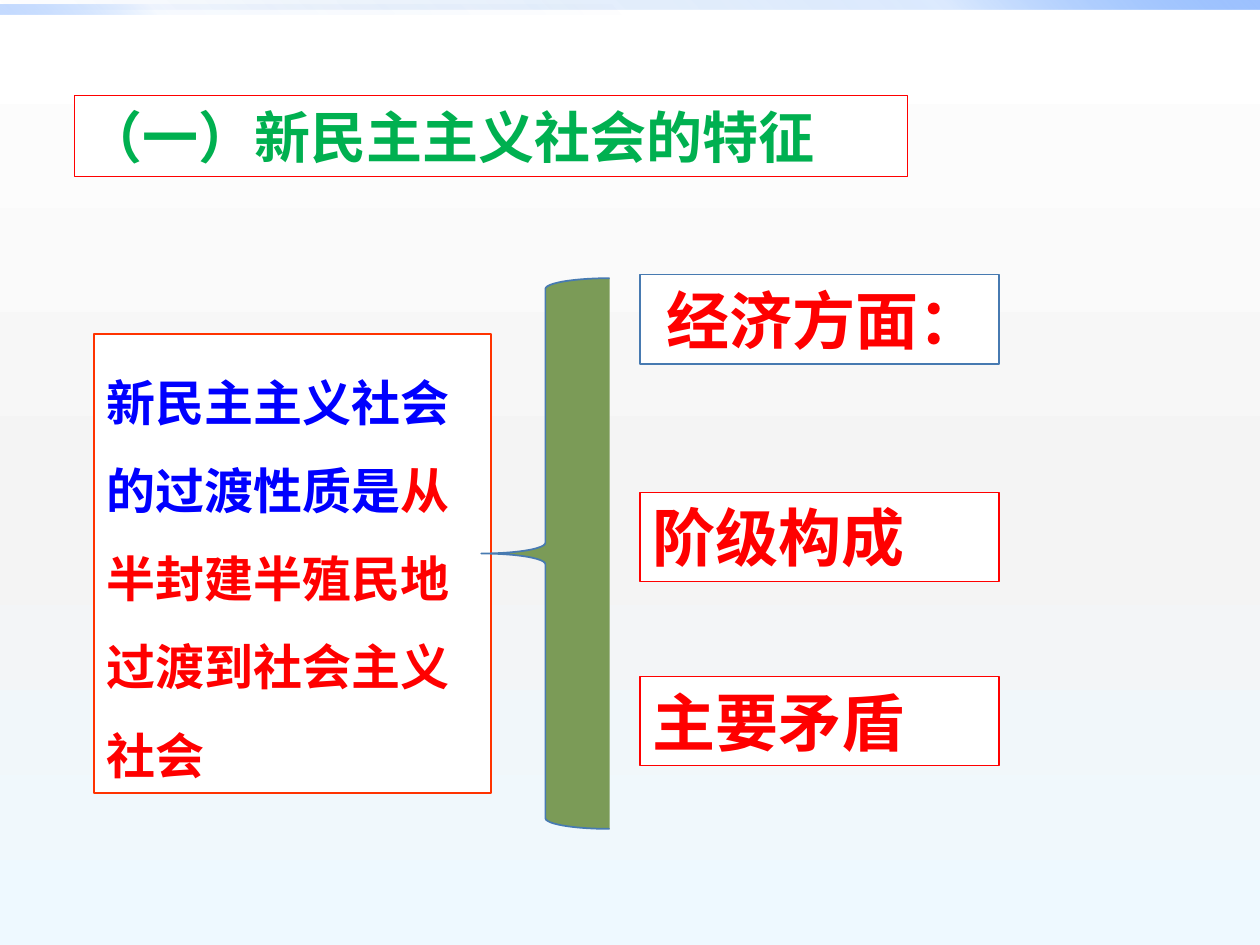
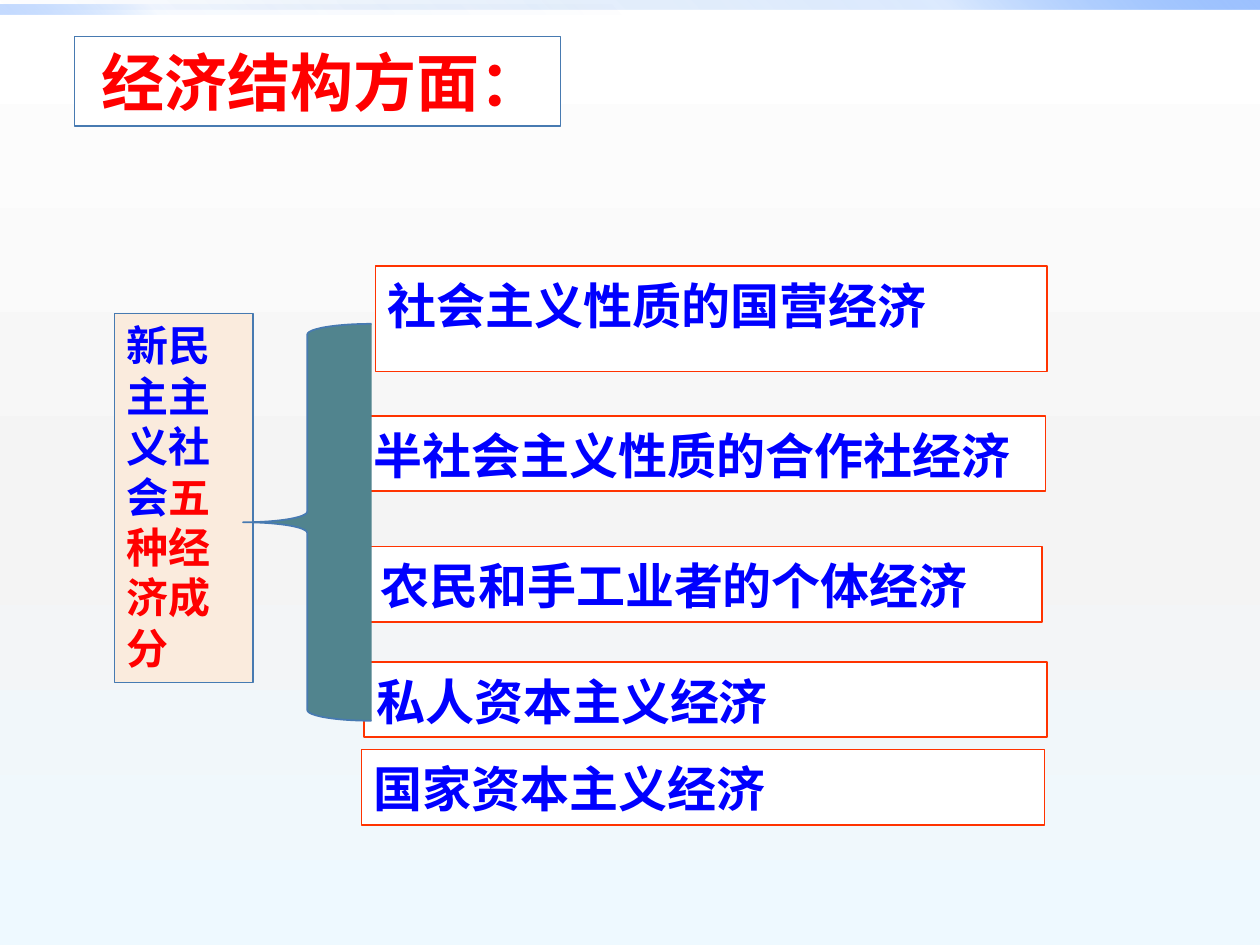
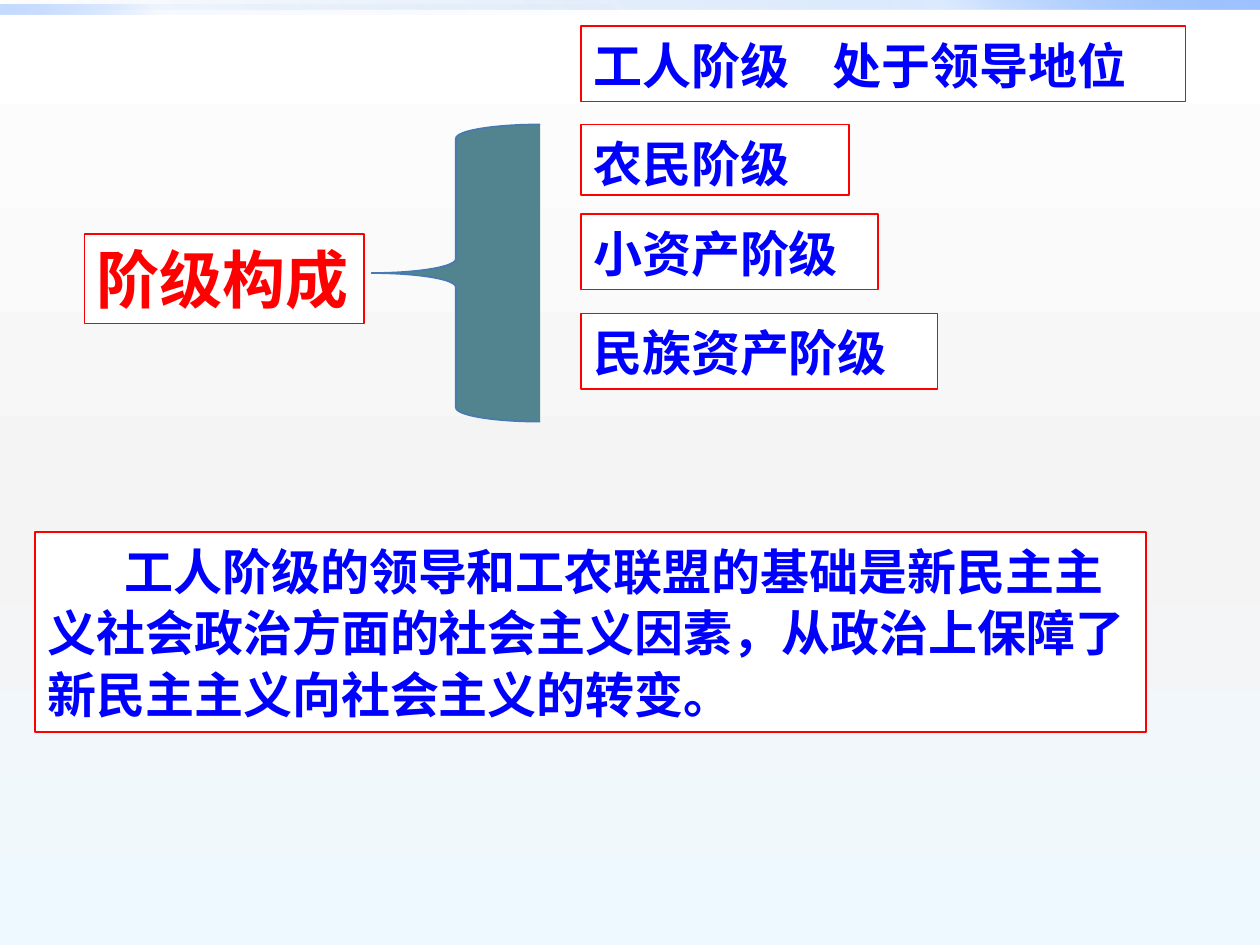
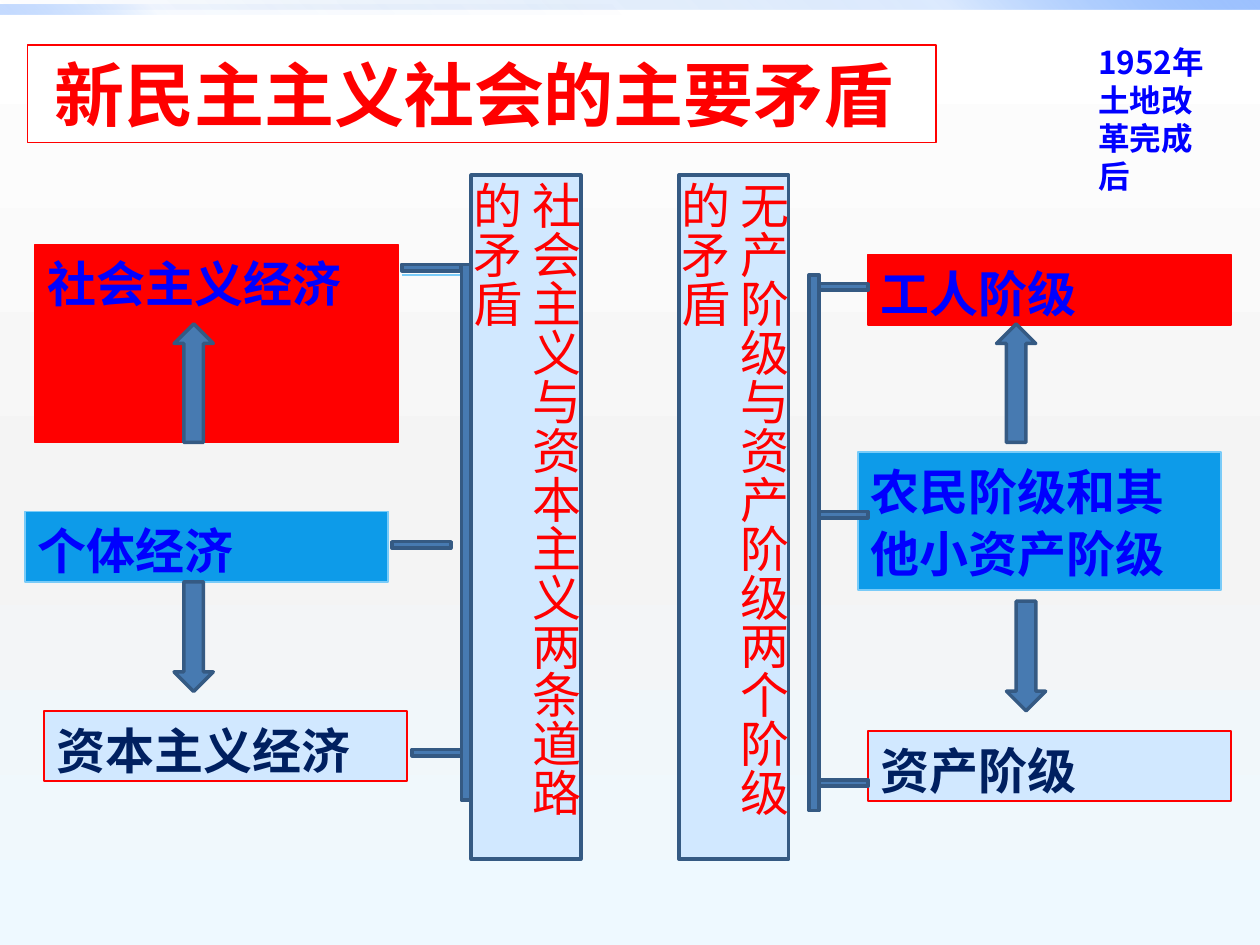
from lxml import etree
from pptx import Presentation
from pptx import util as u
from pptx.dml.color import RGBColor
from pptx.enum import shapes, text
from pptx.oxml import ns

RED, BLUE, NAVY, GREEN = "FF0000", "0000FF", "002060", "00B050"
ORANGE, STEEL, DARK_STEEL = "FF3300", "477AB1", "355A83"
WHITE, PALE, SKY, LIGHT_SKY = "FFFFFF", "D1E8FF", "0D9BE9", "79CBF8"
OLIVE, TEAL, CREAM = "7B9B57", "51848E", "FAEBDD"
SANS_JP, SANS_SC = "Noto Sans CJK JP", "Noto Sans CJK SC"
SERIF, CAMBRIA = "Times New Roman", "Cambria"
SHAPE = shapes.MSO_SHAPE
ITEM_HEIGHT, TEXT_INSET, HEADING_INSET = 1.52, 0.25, 0.54


def color(value):
    return RGBColor.from_string(value)


def place(shape, box):
    shape.left, shape.top, shape.width, shape.height = [u.Cm(length) for length in box]


def paint(shape, fill, line, width):
    shape.fill.solid()
    shape.fill.fore_color.rgb = color(fill)
    shape.line.color.rgb = color(line)
    shape.line.width = u.Pt(width)


def add_figure(slide, kind, box, fill=STEEL, line=DARK_STEEL, width=2):
    shape = slide.shapes.add_shape(kind, *[u.Cm(length) for length in box])
    shape.shadow.inherit = False
    paint(shape, fill, line, width)
    return shape


def write(shape, parts, size, font, bold=True, spacing=1.0, inset=TEXT_INSET,
          anchor=text.MSO_ANCHOR.TOP, align=text.PP_ALIGN.LEFT):
    frame = shape.text_frame
    frame.word_wrap = True
    frame.auto_size = text.MSO_AUTO_SIZE.NONE
    frame.vertical_anchor = anchor
    frame.margin_left, frame.margin_right = u.Cm(inset), u.Cm(TEXT_INSET)
    frame.margin_top = frame.margin_bottom = u.Cm(0.13)
    paragraph = frame.paragraphs[0]
    paragraph.alignment = align
    paragraph.line_spacing = spacing
    paragraph.space_before = u.Pt(0)
    for wording, ink in parts:
        run = paragraph.add_run()
        run.text = wording
        run.font.size = u.Pt(size)
        run.font.name = font
        run.font.bold = bold
        run.font.color.rgb = color(ink)
    return paragraph


def add_card(slide, box, parts, size=28, font=SERIF, fill=WHITE, line=RED, width=1,
             title=False, **style):
    if title:
        shape = slide.shapes.title
        place(shape, box)
        paint(shape, fill, line, width)
    else:
        shape = add_figure(slide, SHAPE.RECTANGLE, box, fill, line, width)
    return write(shape, parts, size, font, **style)


def add_item(slide, box, wording, ink=BLUE, **style):
    return add_card(slide, box, [(wording, ink)], spacing=1.05, **style)


def add_heading(slide, box, wording, ink=RED, size=36, line=RED, **style):
    return add_card(slide, box, [(wording, ink)], size, SANS_JP, line=line, width=0.75, **style)


def set_gradient(properties, stops, angle):
    gradient = etree.Element(ns.qn("a:gradFill"), rotWithShape="1")
    stop_list = etree.SubElement(gradient, ns.qn("a:gsLst"))
    for position, ink, opacity in stops:
        stop = etree.SubElement(stop_list, ns.qn("a:gs"), pos=str(position * 1000))
        tint = etree.SubElement(stop, ns.qn("a:srgbClr"), val=ink)
        if opacity < 100:
            etree.SubElement(tint, ns.qn("a:alpha"), val=str(opacity * 1000))
    etree.SubElement(gradient, ns.qn("a:lin"), ang=str(angle * 60000), scaled="0")
    properties.replace(properties.find(ns.qn("a:solidFill")), gradient)


def dress_master(presentation, slide):
    master = presentation.slide_master
    master.background.fill.solid()
    background = master.element.find(".//" + ns.qn("p:bgPr"))
    set_gradient(background, [(0, WHITE, 100), (55, "F4F4F4", 100), (100, "EEF9FF", 100)], 90)
    bands = [((0, 0, 25.4, 0.2), 20, 100, 315), ((0, 0.1, 12.7, 0.2), 5, 60, 135)]
    for index, (box, middle, end, angle) in enumerate(bands):
        band = add_figure(slide, SHAPE.RECTANGLE, box)
        band.line.fill.background()
        stops = [(0, "0058B7", 0), (75, "4F95FF", middle), (100, "9EC2FF", end)]
        set_gradient(band.element.spPr, stops, angle)
        master.element.cSld.spTree.insert(2 + index, band.element)


def add_brace(slide, box, fill):
    add_figure(slide, SHAPE.LEFT_BRACE, box, fill, STEEL, 1)


def build_features(slide):
    add_card(slide, (1.9, 6.73, 8, 9.25),
             [("新民主主义社会的过渡性质是", BLUE), ("从半封建半殖民地过渡到社会主义社会", RED)],
             line=ORANGE, title=True, spacing=1.5, anchor=text.MSO_ANCHOR.MIDDLE)
    add_heading(slide, (1.5, 1.93, 16.79, 1.63), "（一）新民主主义社会的特征", GREEN, 32)
    aspects = [(5.54, "经济方面：", STEEL, HEADING_INSET),
               (9.93, "阶级构成", RED, TEXT_INSET),
               (13.64, "主要矛盾", RED, TEXT_INSET)]
    for top, wording, line, inset in aspects:
        add_heading(slide, (12.9, top, 7.24, 1.8), wording, line=line, inset=inset)
    add_brace(slide, (9.7, 5.61, 2.59, 11.1), OLIVE)


def build_economy(slide):
    style = dict(font=SANS_SC, line=ORANGE)
    add_item(slide, (7.57, 5.36, 13.54, 2.13), "社会主义性质的国营经济", title=True, **style)
    add_heading(slide, (1.5, 0.74, 9.8, 1.8), "经济结构方面：", line=STEEL, inset=HEADING_INSET)
    add_card(slide, (2.31, 6.32, 2.79, 7.44),
             [("新民主主义社会", BLUE), ("五种经济成分", RED)],
             24, SANS_SC, CREAM, STEEL, 0.75)
    sectors = [(7.29, 8.38, 13.79, "半社会主义性质的合作社经济"),
               (7.29, 15.11, 13.77, "国家资本主义经济"),
               (7.34, 13.34, 13.77, "私人资本主义经济"),
               (7.42, 11.02, 13.59, "农民和手工业者的个体经济")]
    for left, top, width, wording in sectors:
        add_item(slide, (left, top, width, ITEM_HEIGHT), wording, **style)
    add_brace(slide, (4.9, 6.53, 2.59, 8), TEAL)


def build_classes(slide):
    add_heading(slide, (1.7, 4.72, 5.64, 1.8), "阶级构成", title=True)
    summary = add_item(slide, (0.71, 10.72, 22.4, 4.04),
                       "工人阶级的领导和工农联盟的基础是新民主主义社会政治方面的社会主义因素，"
                       "从政治上保障了新民主主义向社会主义的转变。")
    summary._p.get_or_add_pPr().set("indent", str(u.Cm(1.55)))
    add_brace(slide, (7.49, 2.51, 3.4, 5.99), TEAL)
    classes = [(0.53, 12.19, ITEM_HEIGHT, "工人阶级\t处于领导地位"),
               (2.51, 5.41, 1.42, "农民阶级"),
               (4.32, 5.99, ITEM_HEIGHT, "小资产阶级"),
               (6.32, 7.19, ITEM_HEIGHT, "民族资产阶级")]
    for top, width, height, wording in classes:
        paragraph = add_item(slide, (11.71, top, width, height), wording)
        if "\t" in wording:
            tabs = etree.SubElement(paragraph._p.get_or_add_pPr(), ns.qn("a:tabLst"))
            etree.SubElement(tabs, ns.qn("a:tab"), pos=str(u.Cm(4.83)), algn="l")


def add_pillar(slide, left, wording, align):
    pillar = add_figure(slide, SHAPE.FLOWCHART_PROCESS, (left, 3.53, 2.21, 13.79), PALE)
    write(pillar, [(wording, RED)], 28, CAMBRIA, bold=False,
          anchor=text.MSO_ANCHOR.MIDDLE, align=align)
    pillar.text_frame._txBody.bodyPr.set("vert", "eaVert")


def add_bracket(slide, spine_left, spine_top, ticks):
    for left, top in ticks:
        add_figure(slide, SHAPE.RECTANGLE, (left, top, 1.19, 0.13))
    add_figure(slide, SHAPE.RECTANGLE, (spine_left, spine_top, 0.2, 10.8))


def add_thin_line(slide, left, top, width):
    line = slide.shapes.add_connector(shapes.MSO_CONNECTOR.STRAIGHT, u.Cm(left), u.Cm(top),
                                      u.Cm(left + width), u.Cm(top))
    line.line.color.rgb = color(LIGHT_SKY)
    line.line.width = u.Pt(1)
    etree.SubElement(line.element.spPr, ns.qn("a:effectLst"))


def build_contradictions(slide):
    add_heading(slide, (0.56, 0.91, 18.31, 1.96), "新民主主义社会的主要矛盾", size=40,
                inset=HEADING_INSET)
    red, sky = dict(fill=RED), dict(fill=SKY, line=LIGHT_SKY)
    pale = dict(fill=PALE, ink=NAVY)
    forces = [(0.71, 4.93, 3.99, "社会主义经济", dict(red, title=True)),
              (0.51, 10.31, 1.42, "个体经济", sky),
              (0.89, 14.33, 1.42, "资本主义经济", pale),
              (17.5, 5.13, 1.42, "工人阶级", red),
              (17.3, 9.12, 2.77, "农民阶级和其他小资产阶级", sky),
              (17.5, 14.73, 1.42, "资产阶级", pale)]
    for left, top, height, wording, style in forces:
        add_item(slide, (left, top, 7.32, height), wording, **style)
    add_pillar(slide, 9.5, "社会主义与资本主义两条道路的矛盾", text.PP_ALIGN.JUSTIFY)
    add_pillar(slide, 13.69, "无产阶级与资产阶级两个阶级的矛盾", text.PP_ALIGN.LEFT)
    for up_left, down_left, down_top in [(3.51, 3.51, 11.73), (20.09, 20.29, 12.12)]:
        add_figure(slide, SHAPE.UP_ARROW, (up_left, 6.53, 0.79, 2.39))
        add_figure(slide, SHAPE.DOWN_ARROW, (down_left, down_top, 0.79, 2.21))
    add_thin_line(slide, 8.1, 5.54, 1.19)
    add_bracket(slide, 9.3, 5.33, [(8.1, 5.33), (7.9, 10.92), (8.31, 15.11)])
    add_bracket(slide, 16.31, 5.54, [(16.31, top) for top in (5.72, 10.31, 15.72)])
    note = slide.shapes.add_textbox(u.Cm(21.89), u.Cm(0.74), u.Cm(2.72), u.Cm(3.33))
    write(note, [("1952年土地改革完成后", BLUE)], 18, SANS_SC)


def main():
    presentation = Presentation()
    presentation.slide_width, presentation.slide_height = u.Cm(25.4), u.Cm(19.05)
    title_only = presentation.slide_layouts[5]
    builders = [build_features, build_economy, build_classes, build_contradictions]
    for index, build in enumerate(builders):
        slide = presentation.slides.add_slide(title_only)
        if index == 0:
            dress_master(presentation, slide)
        build(slide)
    presentation.save("out.pptx")


if __name__ == "__main__":
    main()
